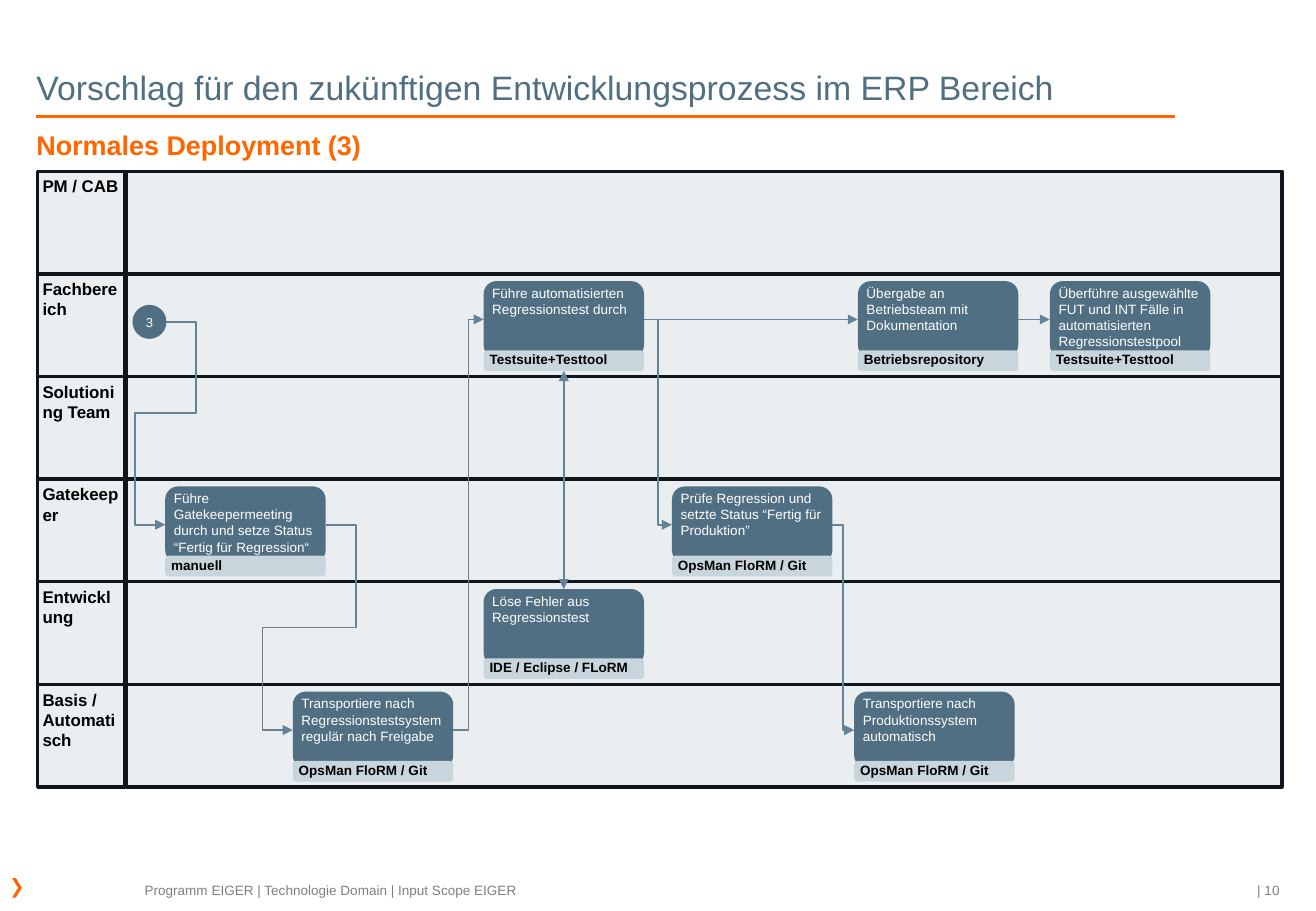
from lxml import etree
from pptx import Presentation
from pptx.dml.color import RGBColor
from pptx.enum.shapes import MSO_CONNECTOR as CONNECTOR, MSO_SHAPE as SHAPE
from pptx.enum.text import MSO_ANCHOR as ANCHOR, PP_ALIGN as ALIGN
from pptx.oxml.ns import qn
from pptx.util import Inches, Pt

# Content
TITLE = "Vorschlag für den zukünftigen Entwicklungsprozess im ERP Bereich"
SUBTITLE = "Normales Deployment (3)"
FOOTER = "Programm EIGER | Technologie Domain | Input Scope EIGER"
PAGE = "| 10"
LANES = ["PM / CAB", "Fachbereich", "Solutioning Team", "Gatekeeper",
         "Entwicklung", "Basis / Automatisch"]
TRANSPORT_TOOL = "OpsMan FloRM / Git"
# name: (lane, left, text, tool)
STEPS = {
    "meeting": ("Gatekeeper", 1.36,
                "Führe Gatekeepermeeting durch und setze Status “Fertig für Regression“",
                "manuell"),
    "to_test": ("Basis / Automatisch", 2.41,
                "Transportiere nach Regressionstestsystem regulär nach Freigabe",
                TRANSPORT_TOOL),
    "test": ("Fachbereich", 3.98, "Führe automatisierten Regressionstest durch",
             "Testsuite+Testtool"),
    "fix": ("Entwicklung", 3.98, "Löse Fehler aus Regressionstest",
            "IDE / Eclipse / FLoRM"),
    "check": ("Gatekeeper", 5.53,
              "Prüfe Regression und setzte Status “Fertig für Produktion”",
              TRANSPORT_TOOL),
    "to_prod": ("Basis / Automatisch", 7.03,
                "Transportiere nach Produktionssystem\nautomatisch", TRANSPORT_TOOL),
    "handover": ("Fachbereich", 7.06, "Übergabe an Betriebsteam mit Dokumentation",
                 "Betriebsrepository"),
    "pool": ("Fachbereich", 8.64,
             "Überführe ausgewählte FUT und INT Fälle in automatisierten Regressionstestpool",
             "Testsuite+Testtool"),
}
# (from, to, height share of the middle leg for routes that turn back)
FLOWS = [("start", "meeting", 0.45), ("meeting", "to_test", 0.5),
         ("to_test", "test", None), ("test", "check", None),
         ("check", "to_prod", None), ("test", "handover", None),
         ("handover", "pool", None)]

# Layout and colours
LANE_TOP, LANE_BOTTOM = 1.41, 6.48
LANE_HEIGHT = (LANE_BOTTOM - LANE_TOP) / len(LANES)
STEP_WIDTH, STEP_HEIGHT, STEP_OFFSET = 1.32, 0.63, 0.06
TOOL_OFFSET, TOOL_HEIGHT = 0.57, 0.17
LOOP = 0.25
SLATE, ORANGE, PALE, LANE_FILL = "506F82", "FF6600", "C8D5DD", "EAEEF1"
BORDER, FLOW, GREY, BLACK, WHITE = "10161A", "648396", "7F7F7F", "000000", "FFFFFF"


def color(hex_string):
    return RGBColor.from_string(hex_string)


def write(shape, text, size, hex_string, bold=False, align=ALIGN.LEFT,
          anchor=ANCHOR.TOP, insets=(0, 0, 0, 0)):
    frame = shape.text_frame
    frame.word_wrap = True
    frame.vertical_anchor = anchor
    (frame.margin_left, frame.margin_top,
     frame.margin_right, frame.margin_bottom) = map(Inches, insets)
    for index, line in enumerate(text.split("\n")):
        paragraph = frame.add_paragraph() if index else frame.paragraphs[0]
        paragraph.alignment = align
        run = paragraph.add_run()
        run.text = line
        run.font.name, run.font.size, run.font.bold = "Arial", Pt(size), bold
        run.font.color.rgb = color(hex_string)


def add_box(kind, box, fill, border=None):
    shape = slide.shapes.add_shape(kind, *map(Inches, box))
    shape.shadow.inherit = False
    shape.fill.solid()
    shape.fill.fore_color.rgb = color(fill)
    if border:
        shape.line.color.rgb = color(border)
        shape.line.width = Pt(2)
    else:
        shape.line.fill.background()
    return shape


def add_text(box, *args, **options):
    write(slide.shapes.add_textbox(*map(Inches, box)), *args, **options)


def add_line(kind, hex_string, width, points=(0, 0, 0, 0), arrows=()):
    connector = slide.shapes.add_connector(kind, *map(Inches, points))
    connector.line.color.rgb = color(hex_string)
    connector.line.width = Pt(width)
    etree.SubElement(connector._element.spPr, qn("a:effectLst"))
    for end in arrows:
        etree.SubElement(connector.line._get_or_add_ln(), qn(f"a:{end}"), type="triangle")
    return connector


def turn_back(connector, middle):
    """Route out to the right, back across, and in from the left."""
    share = Inches(LOOP) / (connector.end_x - connector.begin_x)
    geometry = connector._element.spPr.find(qn("a:prstGeom"))
    geometry.set("prst", "bentConnector5")
    guides = geometry.find(qn("a:avLst"))
    if guides is None:
        guides = etree.SubElement(geometry, qn("a:avLst"))
    for number, value in enumerate((share, middle, 1 - share), 1):
        etree.SubElement(guides, qn("a:gd"), name=f"adj{number}",
                         fmla=f"val {round(value * 100000)}")


presentation = Presentation()
presentation.slide_width, presentation.slide_height = Inches(10.83), Inches(7.5)
slide = presentation.slides.add_slide(presentation.slide_layouts[5])

# Title, rule and subtitle
title = slide.shapes.title
title.left, title.top, title.width, title.height = map(Inches, (0.3, 0.21, 9.37, 0.71))
write(title, TITLE, 20, SLATE, anchor=ANCHOR.BOTTOM, insets=(0, 0.04, 0, 0.04))
add_line(CONNECTOR.STRAIGHT, ORANGE, 1.5, (0.3, 0.96, 9.67, 0.96))
add_text((0.3, 1.02, 9.37, 0.35), SUBTITLE, 16, ORANGE, bold=True,
         anchor=ANCHOR.MIDDLE, insets=(0, 0.04, 0, 0.04))

# Footer
chevron = add_box(SHAPE.CHEVRON, (0.1, 7.23, 0.08, 0.16), ORANGE)
chevron.adjustments[0] = 0.61
add_text((1.19, 7.26, 6.5, 0.13), FOOTER, 8, GREY)
add_text((10.22, 7.26, 0.31, 0.13), PAGE, 8, GREY, align=ALIGN.RIGHT)

# Swimlanes
lane_tops = {lane: LANE_TOP + index * LANE_HEIGHT for index, lane in enumerate(LANES)}
for lane, top in lane_tops.items():
    label = add_box(SHAPE.RECTANGLE, (0.31, top, 0.72, LANE_HEIGHT), LANE_FILL, BORDER)
    write(label, lane, 10, BLACK, bold=True, insets=(0.04,) * 4)
    add_box(SHAPE.RECTANGLE, (1.04, top, 9.51, LANE_HEIGHT), LANE_FILL, BORDER)

# Start marker and process steps with their tools
start = add_box(SHAPE.OVAL, (1.09, 2.51, 0.28, 0.28), SLATE)
write(start, "3", 7.7, WHITE, align=ALIGN.CENTER, anchor=ANCHOR.MIDDLE, insets=(0.04,) * 4)
nodes, tools = {"start": start}, {}
for name, (lane, left, text, tool) in STEPS.items():
    top = lane_tops[lane] + STEP_OFFSET
    nodes[name] = add_box(SHAPE.ROUNDED_RECTANGLE,
                          (left, top, STEP_WIDTH, STEP_HEIGHT), SLATE)
    write(nodes[name], text, 8, WHITE, insets=(0.04, 0, 0, 0))
    tools[name] = add_box(SHAPE.ROUNDED_RECTANGLE,
                          (left, top + TOOL_OFFSET, STEP_WIDTH, TOOL_HEIGHT), PALE)
    write(tools[name], tool, 8, BLACK, bold=True, insets=(0.04, 0, 0, 0))

# Flow arrows, right side to left side
for source, target, middle in FLOWS:
    arrow = add_line(CONNECTOR.ELBOW, FLOW, 1, arrows=["tailEnd"])
    arrow.begin_connect(nodes[source], 3)
    arrow.end_connect(nodes[target], 1)
    if source == "start":  # an oval numbers its right side 6
        arrow._element.find(".//" + qn("a:stCxn")).set("idx", "6")
    if middle:
        turn_back(arrow, middle)

# Loop between test and bug fixing
loop = add_line(CONNECTOR.STRAIGHT, FLOW, 1, arrows=["headEnd", "tailEnd"])
loop.begin_connect(tools["test"], 2)
loop.end_connect(nodes["fix"], 0)

presentation.save("out.pptx")
